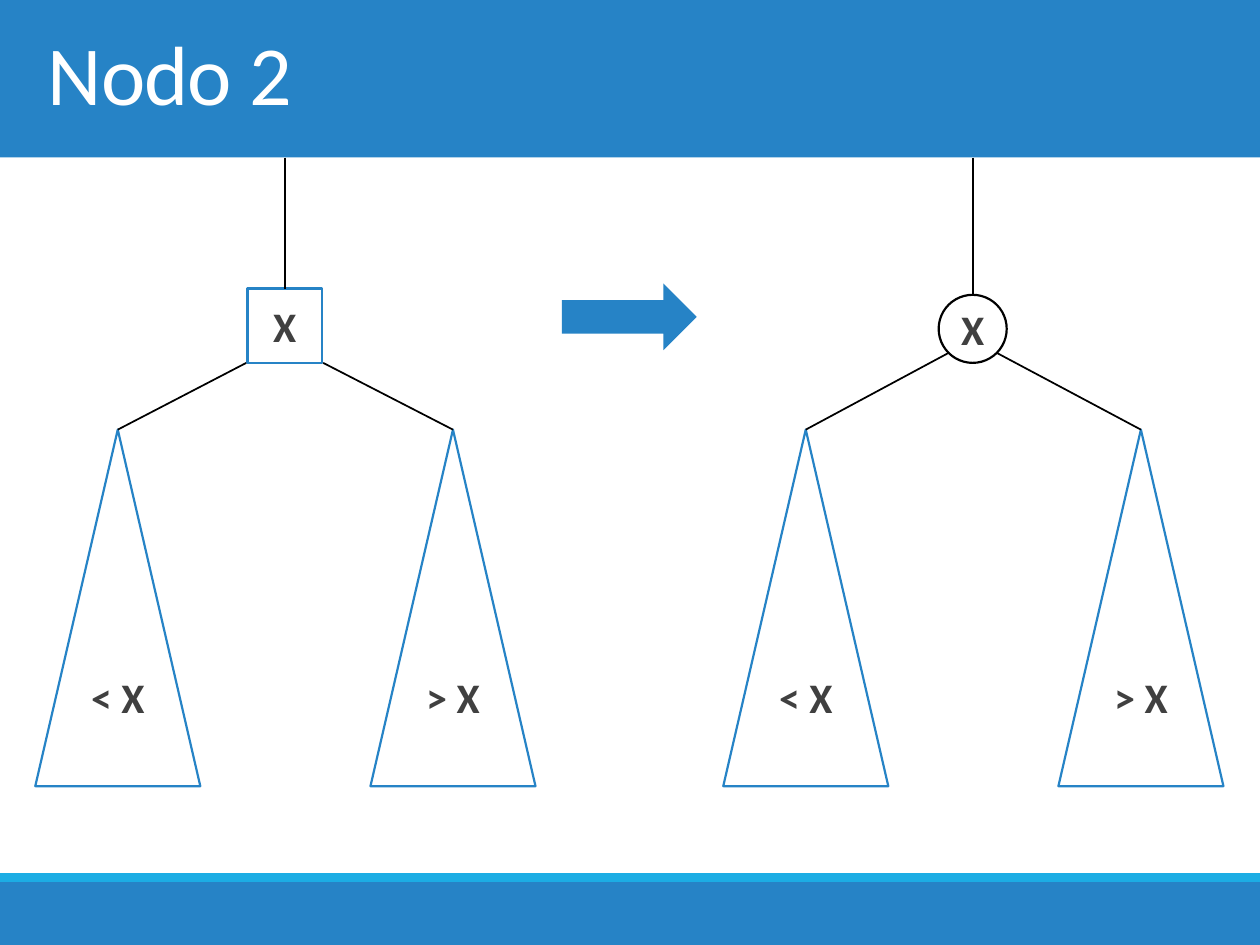
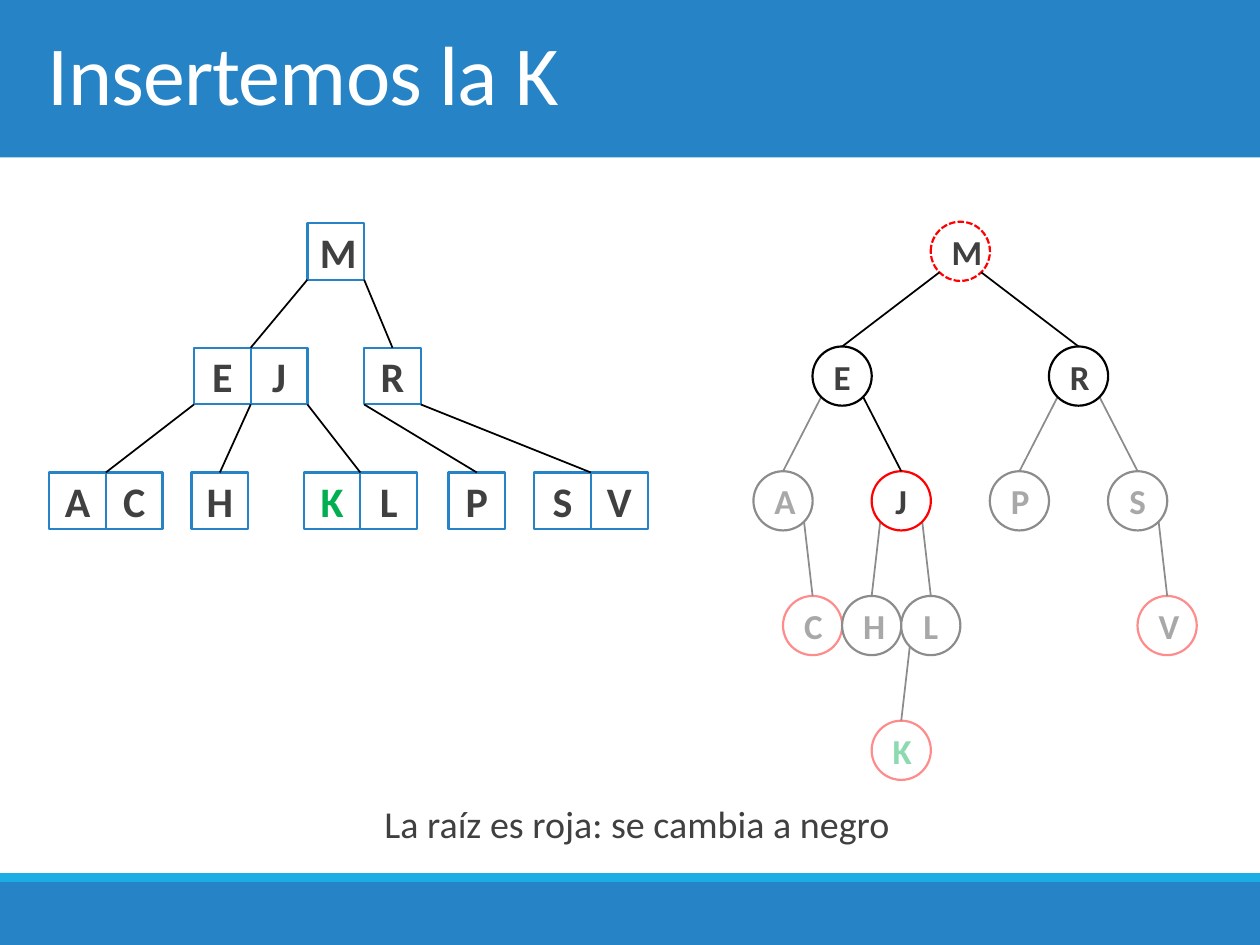
from pptx import Presentation, util as u
from pptx.dml.color import RGBColor
from pptx.enum import dml, shapes, text
from pptx.oxml.ns import qn
from lxml import etree

BLUE, SKY, WHITE, BLACK = "2683C6", "1CADE4", "FFFFFF", "000000"
GREY, RED, GREEN = "404040", "FF0000", "00B050"
KIND = shapes.MSO_SHAPE
LEFT, MID = text.PP_ALIGN.LEFT, text.PP_ALIGN.CENTER
COLS, ROWS = 100, 75
HEAD = 12.5

# name: (left column, row, parent, outline)
FADED = {"A": (0, 2, "E", BLACK), "C": (1, 3, "A", RED),
         "H": (3, 3, "J", BLACK), "L": (5, 3, "J", BLACK),
         "K": (4, 4, "L", RED), "P": (8, 2, "R", BLACK),
         "S": (12, 2, "R", BLACK), "V": (13, 3, "S", RED)}
VIVID = {"M": (6, 0, None, RED), "E": (2, 1, "M", BLACK),
         "R": (10, 1, "M", BLACK), "J": (4, 2, "E", RED)}

# keys: (left, row, parent, gap of the parent that the edge leaves from)
GROUPS = {"M": (24.4, 0, None, 0),
          "EJ": (15.4, 1, "M", 0), "R": (28.9, 1, "M", 1),
          "AC": (3.9, 2, "EJ", 0), "H": (15.2, 2, "EJ", 1),
          "KL": (24.1, 2, "EJ", 2), "P": (35.6, 2, "R", 0),
          "SV": (42.4, 2, "R", 1)}


def color(code):
    return RGBColor.from_string(code)


def assign(item, values):
    for name, value in values.items():
        setattr(item, name, value)


class Deck:
    """Holds the style and the current slide; lengths are grid cells."""

    def __init__(self):
        self.prs = Presentation()
        assign(self.prs, {"slide_width": u.Inches(10), "slide_height": u.Inches(7.5)})
        self.layout = self.prs.slide_layouts[5]
        self.slide = None

    def x(self, cols):
        return round(self.prs.slide_width * cols / COLS)

    def y(self, rows):
        return round(self.prs.slide_height * rows / ROWS)

    def box(self, left, top, wide, high):
        return self.x(left), self.y(top), self.x(wide), self.y(high)

    def start(self, title):
        first = self.slide is None
        self.slide = self.prs.slides.add_slide(self.layout)
        if first:
            self.bands()
        head = self.slide.shapes.title
        assign(head, dict(zip(("left", "top", "width", "height"),
                              self.box(2.8, 0, 94.5, HEAD))))
        run = self.label(head.text_frame, title, 48, WHITE, align=LEFT, line_spacing=0.9)
        run.font._element.set("spc", "-50")

    def bands(self):
        """Puts the shared bands behind everything on the layout."""
        spots = [(0, HEAD, BLUE), (70, 5, BLUE), (69.3, 0.7, SKY)]
        for i, (top, high, fill) in enumerate(spots):
            band = self.shape(KIND.RECTANGLE, (0, top, COLS, high), fill)
            node = band.element
            node.nvSpPr.cNvPr.set("id", str(100 + i))
            self.layout.shapes.element.insert(2 + i, node)

    def label(self, frame, words, size, ink, bold=False, align=MID, **para):
        assign(frame, {"word_wrap": True, "auto_size": text.MSO_AUTO_SIZE.NONE,
                       "vertical_anchor": text.MSO_ANCHOR.MIDDLE})
        line = frame.paragraphs[0]
        assign(line, {"alignment": align, **para})
        run = line.add_run()
        run.text = words
        assign(run.font, {"name": "Calibri", "size": u.Pt(size), "bold": bold})
        run.font.color.rgb = color(ink)
        return run

    def shape(self, kind, spot, fill=WHITE, edge=None, words="", size=24, ink=GREY):
        item = self.slide.shapes.add_shape(kind, *self.box(*spot))
        item.shadow.inherit = False
        item.fill.solid()
        item.fill.fore_color.rgb = color(fill)
        if edge:
            item.line.color.rgb = color(edge)
            item.line.width = u.Pt(1.25)
        else:
            item.line.fill.background()
        if words:
            self.label(item.text_frame, words, size, ink, bold=True)
        return item

    def line(self, start, end):
        """Draws from a point to a point, or to the top of a shape."""
        joined = not isinstance(end, tuple)
        stop = start if joined else end
        link = self.slide.shapes.add_connector(
            shapes.MSO_CONNECTOR.STRAIGHT, self.x(start[0]), self.y(start[1]),
            self.x(stop[0]), self.y(stop[1]))
        if joined:
            link.end_connect(end, 0)
        link.line.color.rgb = color(BLACK)
        link.line.width = u.Pt(1)
        etree.SubElement(link.element.spPr, qn("a:effectLst"))

    def veil(self, spot, share):
        item = self.shape(KIND.RECTANGLE, spot)
        tint = item.element.spPr.find(f"{qn('a:solidFill')}/{qn('a:srgbClr')}")
        etree.SubElement(tint, qn("a:alpha")).set("val", str(share * 1000))

    def note(self, words, spot):
        frame = self.slide.shapes.add_textbox(*self.box(*spot)).text_frame
        self.label(frame, words, 21.7, GREY, line_spacing=1.3,
                   space_before=u.Pt(12), space_after=u.Pt(2))
        assign(frame, {"vertical_anchor": text.MSO_ANCHOR.TOP,
                       "margin_left": u.Inches(0.2)})


def branch(deck, mid, kind, size, edge, reach, foot):
    """Draws a node X with its stem and the two subtrees below it."""
    node = deck.shape(kind, (mid - size / 2, 28.8 - size, size, size), edge=edge, words="X")
    deck.line((mid, HEAD), node)
    for sign, shift, words in ((-1, -19.8, "< X"), (1, 6.8, "> X")):
        tree = deck.shape(KIND.ISOSCELES_TRIANGLE, (mid + shift, 34.1, 13.1, 28.3),
                          edge=BLUE, words=words)
        deck.line((mid + sign * reach, foot), tree)


def squares(deck):
    side, top, step = 4.5, 17.7, 9.9
    for keys, (left, row, parent, gap) in GROUPS.items():
        level = top + row * step
        for i, key in enumerate(keys):
            cell = deck.shape(KIND.RECTANGLE, (left + i * side, level, side, side),
                              edge=BLUE, words=key, ink=GREEN if key == "K" else GREY)
        if parent:
            start = (GROUPS[parent][0] + gap * side, level - step + side)
            lone = len(keys) == 1
            deck.line(start, cell if lone else (left + side, level))


def circles(deck, part):
    size, step, drop = 4.7, 2.345, 9.9
    spots = {**FADED, **VIVID}

    def place(key):
        return 59.8 + spots[key][0] * step, 17.6 + spots[key][1] * drop

    for key, (col, row, parent, edge) in part.items():
        node = deck.shape(KIND.OVAL, (*place(key), size, size), edge=edge, words=key,
                          size=20, ink=GREEN if key == "K" else GREY)
        if parent:
            left, top = place(parent)
            diag = size / 2 * 0.71
            sign = 1 if col > spots[parent][0] else -1
            deck.line((left + size / 2 + sign * diag, top + size / 2 + diag), node)
        else:
            node.line.dash_style = dml.MSO_LINE.SQUARE_DOT


def main():
    deck = Deck()
    deck.start("Nodo 2")
    branch(deck, 22.6, KIND.RECTANGLE, 5.9, BLUE, 3.05, 28.8)
    branch(deck, 77.2, KIND.OVAL, 5.4, BLACK, 1.9, 28)
    deck.shape(KIND.RIGHT_ARROW, (44.6, 22.5, 10.7, 5.3), BLUE)

    deck.start("Insertemos la K")
    circles(deck, FADED)
    deck.veil((54.4, 16.5, 45.6, 47.5), 55)
    squares(deck)
    circles(deck, VIVID)
    deck.note("La raíz es roja: se cambia a negro", (2.8, 62, 94.5, 5.7))
    deck.prs.save("out.pptx")


if __name__ == "__main__":
    main()
